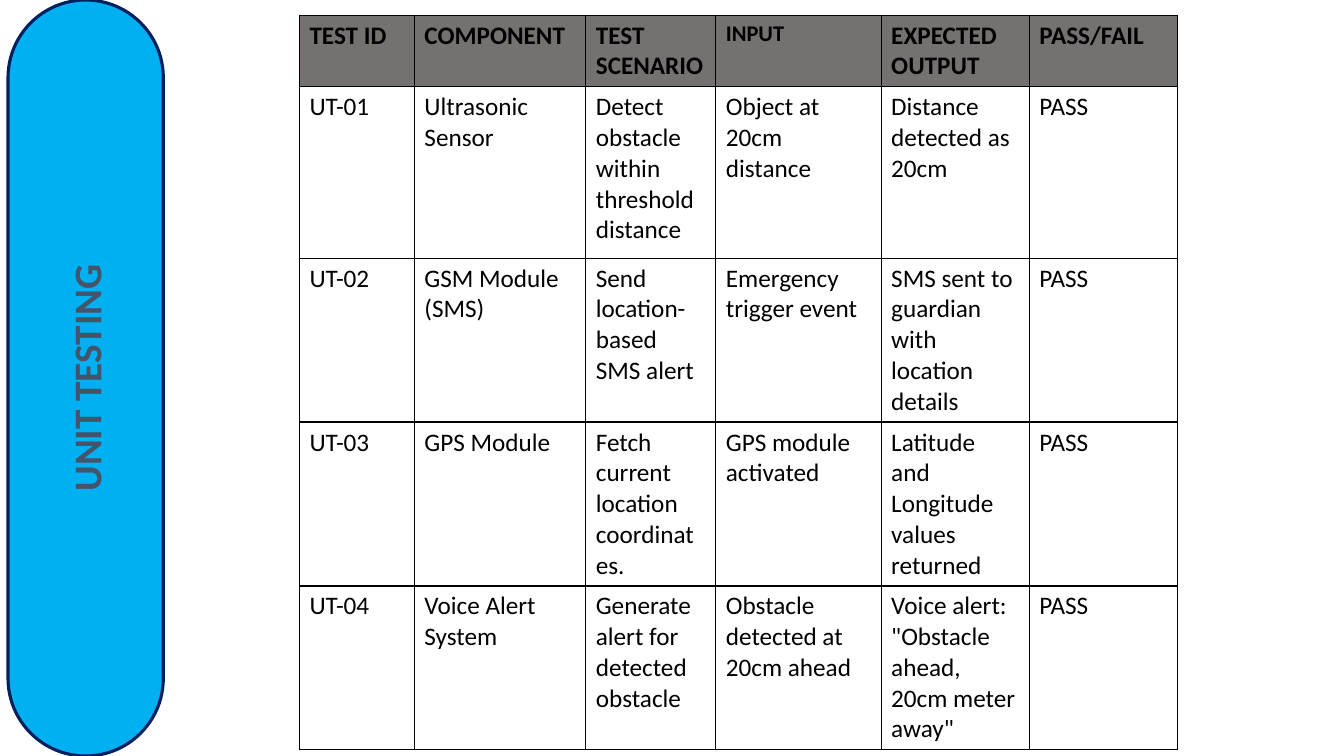
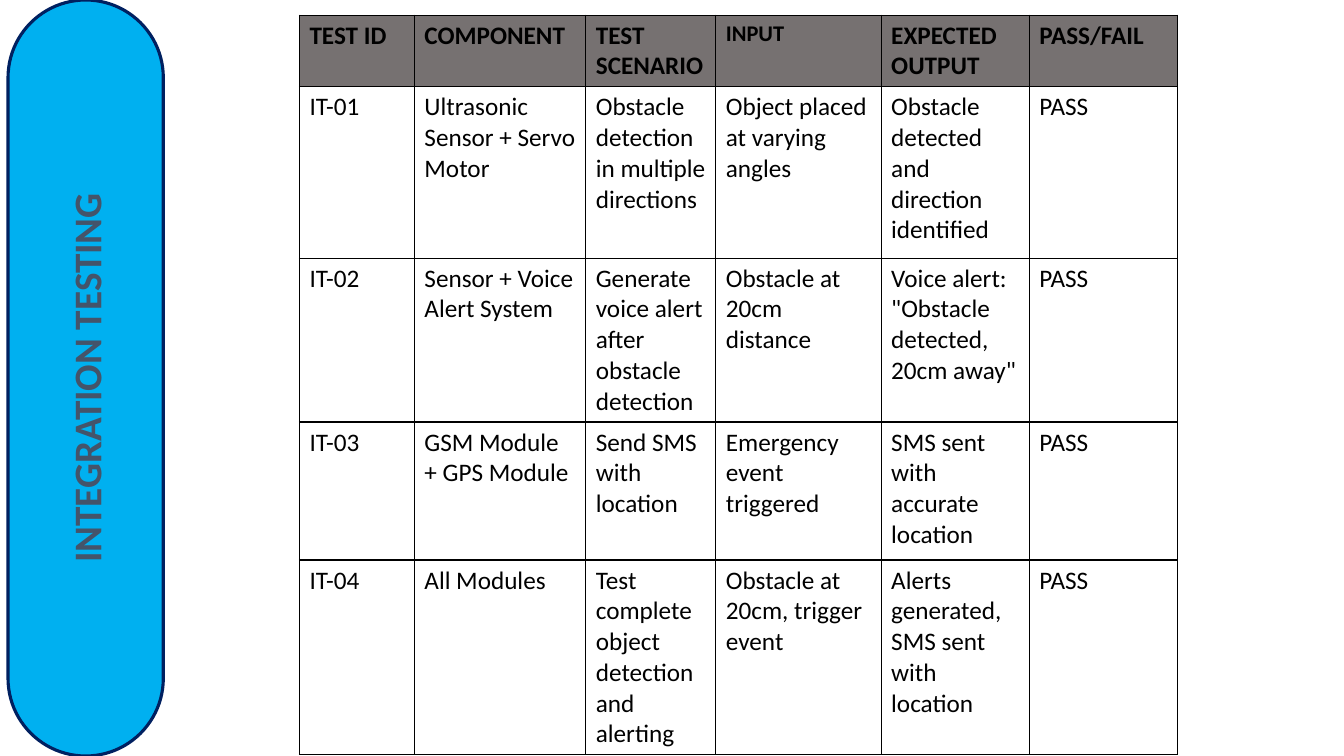
from dataclasses import dataclass

from pptx import Presentation
from pptx.dml.color import RGBColor
from pptx.enum.shapes import MSO_SHAPE as Shp
from pptx.enum.text import MSO_ANCHOR as Anchor, MSO_AUTO_SIZE as AutoSize, PP_ALIGN as Align
from pptx.oxml import parse_xml
from pptx.oxml.ns import nsdecls
from pptx.slide import Slide
from pptx.table import _Cell as Cell
from pptx.util import Inches, Pt

BAND_BLUE = RGBColor(0x00, 0xB0, 0xF0)
BAND_EDGE = RGBColor(0x00, 0x20, 0x60)
TITLE_SLATE = RGBColor(0x44, 0x54, 0x6A)
HEADER_GREY = RGBColor(0x76, 0x71, 0x71)
BLACK = RGBColor(0x00, 0x00, 0x00)
FONT = "Calibri"

BAND_BOX = [Inches(v) for v in (-2.9, 2.98, 7.5, 1.54)]
BAND_ROTATION = 270
TABLE_LEFT, TABLE_TOP = Inches(2.97), Inches(0.15)
COL_WIDTHS = [Inches(v) for v in (1.14, 1.7, 1.29, 1.64, 1.47, 1.47)]
ROW_HEIGHTS = [Inches(v) for v in (0.6, 1.7, 1.48, 1.37, 1.37)]
HEADERS = ("TEST ID", "COMPONENT", "TEST SCENARIO", "INPUT", "EXPECTED OUTPUT", "PASS/FAIL")


@dataclass(frozen=True)
class TestCase:
    """One row of a test table."""

    test_id: str
    component: str
    scenario: str
    given: str
    expected: str
    result: str = "PASS"

    def cells(self) -> tuple[str, ...]:
        """Return the row's texts in column order."""
        return (self.test_id, self.component, self.scenario, self.given, self.expected, self.result)


@dataclass(frozen=True)
class TestSlide:
    """A titled slide with its test cases."""

    title: str
    cases: tuple[TestCase, ...]


SLIDES = (
    TestSlide("UNIT TESTING", (
        TestCase("UT-01", "Ultrasonic Sensor", "Detect obstacle within threshold distance",
                 "Object at 20cm distance", "Distance detected as 20cm"),
        TestCase("UT-02", "GSM Module (SMS)", "Send location-based SMS alert",
                 "Emergency trigger event", "SMS sent to guardian with location details"),
        TestCase("UT-03", "GPS Module", "Fetch current location coordinates.",
                 "GPS module activated", "Latitude and Longitude values returned"),
        TestCase("UT-04", "Voice Alert System", "Generate alert for detected obstacle",
                 "Obstacle detected at 20cm ahead", 'Voice alert: "Obstacle ahead, 20cm meter away"'),
    )),
    TestSlide("INTEGRATION TESTING", (
        TestCase("IT-01", "Ultrasonic Sensor + Servo Motor", "Obstacle detection in multiple directions",
                 "Object placed at varying angles", "Obstacle detected and direction identified"),
        TestCase("IT-02", "Sensor + Voice Alert System", "Generate voice alert after obstacle detection",
                 "Obstacle at 20cm distance", 'Voice alert: "Obstacle detected, 20cm away"'),
        TestCase("IT-03", "GSM Module + GPS Module", "Send SMS with location",
                 "Emergency event triggered", "SMS sent with accurate location"),
        TestCase("IT-04", "All Modules", "Test complete object detection and alerting",
                 "Obstacle at 20cm, trigger event", "Alerts generated, SMS sent with location"),
    )),
)


def add_title_band(s: Slide, text: str) -> None:
    """Draw the upright band and set the title over it."""
    band = s.shapes.add_shape(Shp.ROUNDED_RECTANGLE, *BAND_BOX)
    band.adjustments[0] = 0.5
    band.rotation = BAND_ROTATION
    band.shadow.inherit = False
    band.fill.solid()
    band.fill.fore_color.rgb = BAND_BLUE
    band.line.color.rgb = BAND_EDGE
    band.line.width = Pt(2.25)

    title = s.shapes.title
    title._element.addprevious(band._element)
    title.left, title.top, title.width, title.height = BAND_BOX
    title.rotation = BAND_ROTATION
    tf = title.text_frame
    tf.text = text
    tf.word_wrap = True
    tf.auto_size = AutoSize.NONE
    tf.vertical_anchor = Anchor.MIDDLE
    tf.margin_left = tf.margin_right = tf.margin_top = tf.margin_bottom = Inches(0.1)
    p = tf.paragraphs[0]
    p.alignment = Align.CENTER
    font = p.runs[0].font
    font.name, font.size, font.bold = FONT, Pt(28), True
    font.color.rgb = TITLE_SLATE


def add_borders(cell: Cell) -> None:
    """Outline a cell with thin black lines."""
    tc_pr = cell._tc.get_or_add_tcPr()
    for side in ("lnL", "lnR", "lnT", "lnB"):
        tc_pr.append(parse_xml(
            f'<a:{side} {nsdecls("a")} w="{Pt(1)}"><a:solidFill>'
            f'<a:srgbClr val="{BLACK}"/></a:solidFill></a:{side}>'))


def fill_cell(cell: Cell, text: str, is_header: bool) -> None:
    """Write and format one table cell."""
    add_borders(cell)
    if is_header:
        cell.fill.solid()
        cell.fill.fore_color.rgb = HEADER_GREY
    else:
        cell.fill.background()
    cell.text_frame.text = text
    font = cell.text_frame.paragraphs[0].runs[0].font
    font.name, font.bold = FONT, is_header
    font.size = Pt(16 if text == "INPUT" else 18)
    font.color.rgb = BLACK


def add_test_table(s: Slide, cases: tuple[TestCase, ...]) -> None:
    """Add the table of test cases under the shared header."""
    rows = [HEADERS, *(case.cells() for case in cases)]
    table = s.shapes.add_table(len(rows), len(HEADERS), TABLE_LEFT, TABLE_TOP,
                               sum(COL_WIDTHS), sum(ROW_HEIGHTS)).table
    table.horz_banding = False
    for column, width in zip(table.columns, COL_WIDTHS):
        column.width = width
    for row, height in zip(table.rows, ROW_HEIGHTS):
        row.height = height
    for i, texts in enumerate(rows):
        for j, text in enumerate(texts):
            fill_cell(table.cell(i, j), text, i == 0)


def main() -> None:
    """Build the test slides and save them."""
    prs = Presentation()
    prs.slide_width, prs.slide_height = Inches(13.33), Inches(7.5)
    title_only = prs.slide_layouts[5]
    for content in SLIDES:
        s = prs.slides.add_slide(title_only)
        add_title_band(s, content.title)
        add_test_table(s, content.cases)
    prs.save("out.pptx")


if __name__ == "__main__":
    main()
